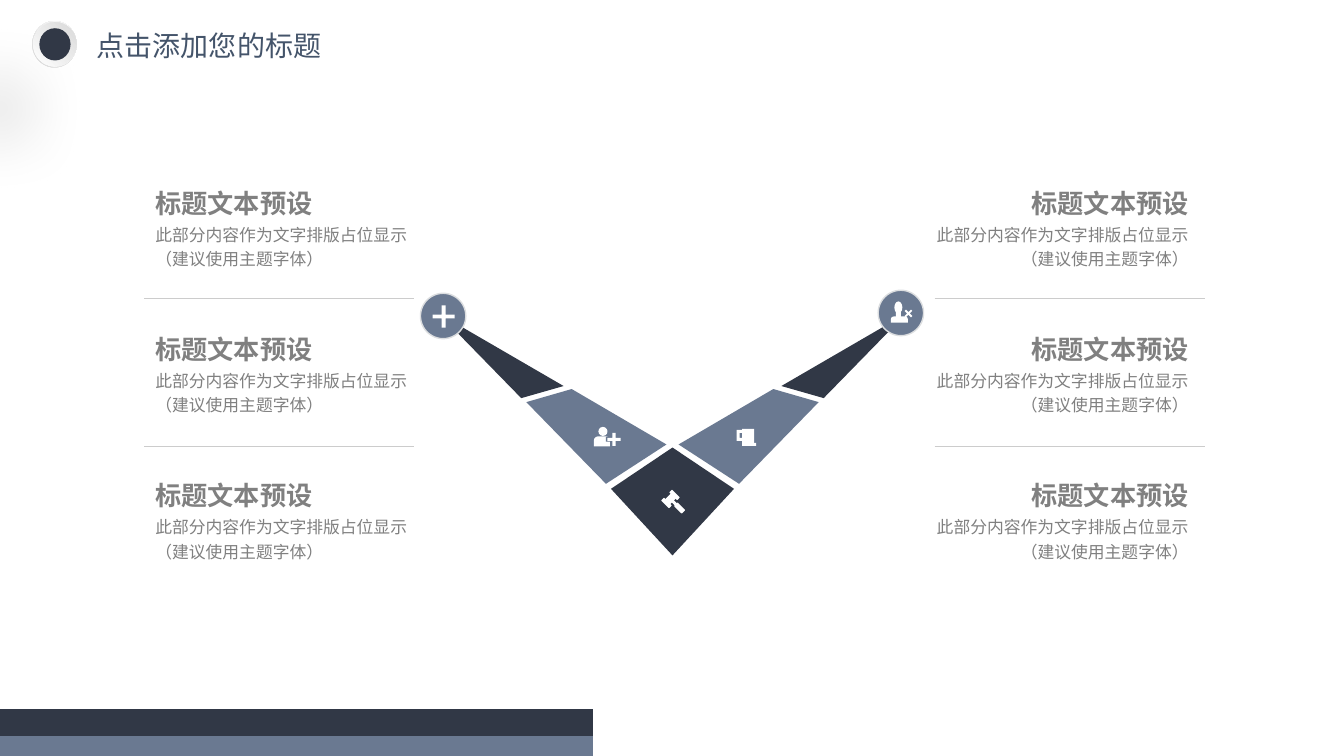
"""Build a slide with a V-shaped diagram between two columns of captions."""
from dataclasses import dataclass

from lxml.etree import SubElement
from pptx import Presentation
from pptx.dml.color import RGBColor
from pptx.enum.shapes import MSO_CONNECTOR as Connector, MSO_SHAPE as Shape
from pptx.enum.text import MSO_ANCHOR as Anchor, PP_ALIGN as Align
from pptx.oxml.ns import qn
from pptx.util import Inches, Pt


@dataclass(frozen=True)
class Theme:
    font: str = "Noto Sans CJK SC"
    dark: str = "313846"
    slate: str = "6A7991"
    title: str = "44546A"
    text: str = "808080"
    rule: str = "CCCCCC"
    rim: str = "DCDEE0"
    silver: str = "D9D9D9"
    white: str = "FFFFFF"
    title_size: float = 20
    heading_size: float = 18.7
    body_size: float = 12


theme = Theme()


@dataclass(frozen=True)
class Part:
    preset: Shape
    offset: tuple
    size: tuple
    rotation: float = 0
    adjustment: float | None = None
    color: str = theme.white


def paint(shape, color, rim=None):
    """Give a shape a plain fill, an optional rim and no shadow."""
    shape.shadow.inherit = False
    shape.fill.solid()
    shape.fill.fore_color.rgb = RGBColor.from_string(color)
    if rim:
        shape.line.color.rgb = RGBColor.from_string(rim)
        shape.line.width = Pt(1)
    else:
        shape.line.fill.background()


def write(shape, lines, size, color, align=Align.LEFT, bold=False, spacing=1.0, insets=(0, 0)):
    """Fill a shape with one paragraph whose lines are split by breaks."""
    frame = shape.text_frame
    frame.word_wrap = True
    frame.vertical_anchor = Anchor.TOP
    frame.margin_left = frame.margin_right = Inches(insets[0])
    frame.margin_top = frame.margin_bottom = Inches(insets[1])
    paragraph = frame.paragraphs[0]
    paragraph.alignment = align
    paragraph.line_spacing = spacing
    for index, line in enumerate(lines):
        if index:
            paragraph.add_line_break()
        paragraph.add_run().text = line
    font = paragraph.font
    font.size = Pt(size)
    font.bold = bold
    font.color.rgb = RGBColor.from_string(color)
    font.name = theme.font
    properties = paragraph._p.pPr.find(qn("a:defRPr"))
    SubElement(properties, qn("a:ea")).set("typeface", theme.font)


presentation = Presentation()
presentation.slide_width = Inches(13.33)
presentation.slide_height = Inches(7.5)
slide = presentation.slides.add_slide(presentation.slide_layouts[5])
shapes = slide.shapes

title = shapes.title
title.left, title.top, title.width, title.height = map(Inches, (0.83, 0.21, 2.65, 0.47))
write(title, ["点击添加您的标题"], theme.title_size, theme.title, insets=(0.13, 0.07))

rings = []
for box, colors in (
    ((0.32, 0.21, 0.44, 0.46), (theme.white, theme.silver)),
    ((0.33, 0.22, 0.43, 0.44), (theme.silver, theme.white)),
):
    ring = shapes.add_shape(Shape.OVAL, *map(Inches, box))
    paint(ring, theme.white)
    ring.fill.gradient()
    for stop, color in zip(ring.fill.gradient_stops, colors):
        stop.color.rgb = RGBColor.from_string(color)
    gradient = ring._element.spPr.find(qn("a:gradFill"))
    gradient.remove(gradient.find(qn("a:lin")))
    radial = SubElement(gradient, qn("a:path"))
    radial.set("path", "circle")
    SubElement(radial, qn("a:fillToRect"), {"l": "100000", "b": "100000"})
    rings.append(ring)

effects = rings[0]._element.spPr.find(qn("a:effectLst"))
shadow = SubElement(effects, qn("a:outerShdw"), {
    "blurRad": str(Pt(50)), "dist": str(Pt(60)), "dir": str(130 * 60000),
    "algn": "ctr", "rotWithShape": "0",
})
shadow_color = SubElement(shadow, qn("a:srgbClr"), {"val": "000000"})
SubElement(shadow_color, qn("a:alpha"), {"val": "25000"})

dot = shapes.add_shape(Shape.OVAL, *map(Inches, (0.39, 0.28, 0.31, 0.32)))
paint(dot, theme.dark)

footer = shapes.add_shape(Shape.RECTANGLE, *map(Inches, (0, 7.03, 5.88, 0.47)))
paint(footer, theme.dark)
footer.fill.gradient()
footer.fill.gradient_angle = 270
for stop, color in zip(footer.fill.gradient_stops, (theme.dark, theme.slate)):
    stop.position = 0.58
    stop.color.rgb = RGBColor.from_string(color)

axis = 6.67
left_tip = [(4.35, 3.11), (5.59, 3.83), (5.17, 3.95)]
left_block = [(5.67, 3.86), (6.61, 4.41), (6.01, 4.8), (5.22, 3.99)]
base_top, base_side, base_bottom = (axis, 4.44), (6.06, 4.85), (axis, 5.51)
right_tip, right_block, (base_far_side,) = (
    [(2 * axis - x, y) for x, y in points] for points in (left_tip, left_block, [base_side])
)
for color, corners in (
    (theme.dark, left_tip),
    (theme.dark, right_tip),
    (theme.slate, left_block),
    (theme.slate, right_block),
    (theme.dark, [base_top, base_far_side, base_bottom, base_side]),
):
    start, *others = [(Inches(x), Inches(y)) for x, y in corners]
    builder = shapes.build_freeform(*start)
    builder.add_line_segments(others, close=True)
    paint(builder.convert_to_shape(), color)

for left, top in ((4.17, 2.91), (8.71, 2.88)):
    badge = shapes.add_shape(Shape.OVAL, *map(Inches, (left, top, 0.45, 0.45)))
    paint(badge, theme.slate, theme.rim)

plus = [Part(Shape.CROSS, (0, 0), (0.22, 0.22), adjustment=0.41)]
removed_person = [
    Part(Shape.OVAL, (-0.03, -0.05), (0.08, 0.12)),
    Part(Shape.RECTANGLE, (-0.03, 0.02), (0.05, 0.08)),
    Part(Shape.ROUND_2_SAME_RECTANGLE, (-0.02, 0.07), (0.17, 0.06), adjustment=0.5),
    Part(Shape.CROSS, (0.07, 0.01), (0.09, 0.09), rotation=45, adjustment=0.4),
]
added_person = [
    Part(Shape.OVAL, (-0.04, -0.05), (0.09, 0.09)),
    Part(Shape.ROUND_2_SAME_RECTANGLE, (-0.05, 0.05), (0.16, 0.1), adjustment=0.4),
    Part(Shape.CROSS, (0.07, 0.03), (0.16, 0.16), adjustment=0.36, color=theme.slate),
    Part(Shape.CROSS, (0.07, 0.03), (0.13, 0.13), adjustment=0.38),
]
cup = [
    Part(Shape.FRAME, (-0.05, -0.02), (0.09, 0.11), adjustment=0.33),
    Part(Shape.RECTANGLE, (0.02, -0.01), (0.12, 0.15)),
    Part(Shape.RECTANGLE, (0.03, 0.07), (0.14, 0.03)),
]
gavel = [
    Part(Shape.RECTANGLE, (-0.03, -0.03), (0.07, 0.1), rotation=45),
    Part(Shape.ROUNDED_RECTANGLE, (0.01, -0.07), (0.11, 0.04), rotation=45),
    Part(Shape.ROUNDED_RECTANGLE, (-0.07, 0.01), (0.11, 0.04), rotation=45),
    Part(Shape.RECTANGLE, (0.01, 0.01), (0.09, 0.03), rotation=45),
    Part(Shape.ROUNDED_RECTANGLE, (0.06, 0.06), (0.11, 0.05), rotation=45),
]
for (center_x, center_y), parts in (
    ((4.4, 3.14), plus),
    ((8.94, 3.1), removed_person),
    ((6.02, 4.33), added_person),
    ((7.4, 4.34), cup),
    ((6.68, 4.98), gavel),
):
    for part in parts:
        (offset_x, offset_y), (width, height) = part.offset, part.size
        left, top = center_x + offset_x - width / 2, center_y + offset_y - height / 2
        shape = shapes.add_shape(part.preset, *map(Inches, (left, top, width, height)))
        shape.rotation = part.rotation
        if part.adjustment is not None:
            shape.adjustments[0] = part.adjustment
        paint(shape, part.color)

caption = ["此部分内容作为文字排版占位显示", "（建议使用主题字体）"]
for text_left, rule_left, align in ((8.94, 9.27, Align.RIGHT), (1.54, 1.43, Align.LEFT)):
    for row in range(3):
        top = 1.86 + 1.45 * row
        heading = shapes.add_textbox(*map(Inches, (text_left, top, 2.85, 0.34)))
        write(heading, ["标题文本预设"], theme.heading_size, theme.text, align, bold=True)
        body = shapes.add_textbox(*map(Inches, (text_left, top + 0.33, 2.85, 0.56)))
        write(body, caption, theme.body_size, theme.text, align, spacing=1.2)
    for y in (2.96, 4.43):
        rule = shapes.add_connector(
            Connector.STRAIGHT, *map(Inches, (rule_left, y, rule_left + 2.68, y)))
        rule.line.color.rgb = RGBColor.from_string(theme.rule)
        rule.line.width = Pt(0.5)
        SubElement(rule._element.spPr, qn("a:effectLst"))

presentation.save("out.pptx")
